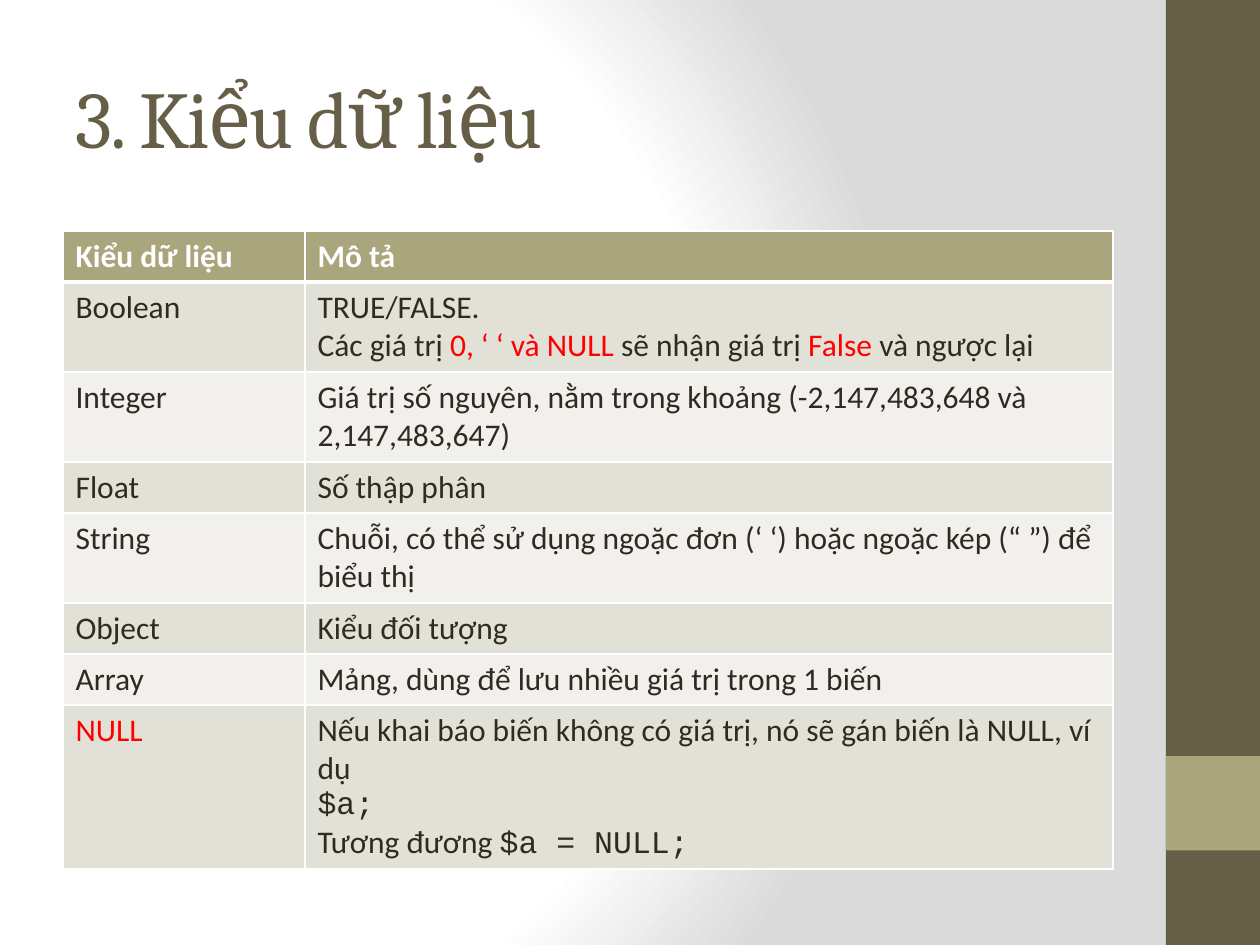
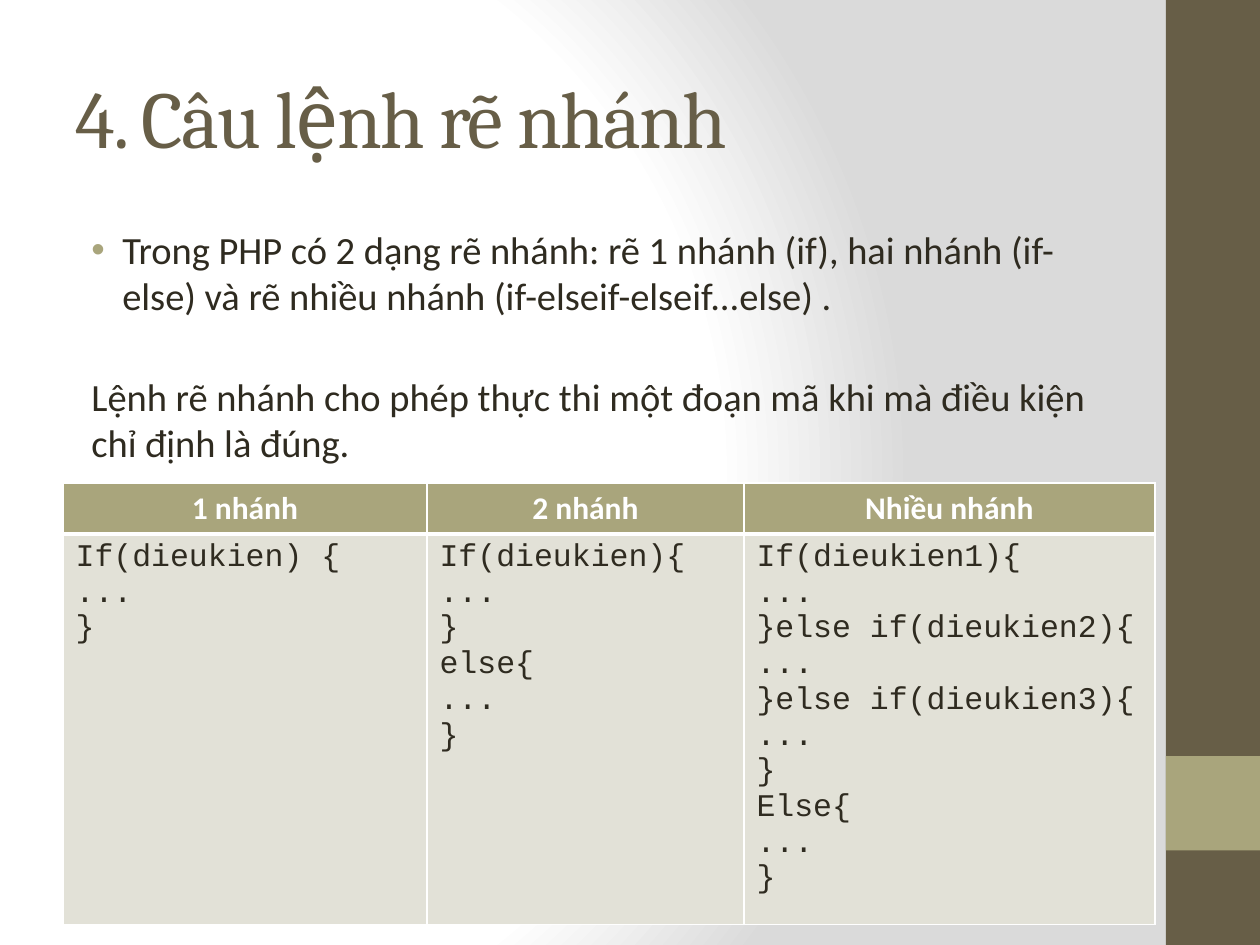
import pptx
import pptx.util
import pptx.dml.color
import pptx.enum.shapes
import pptx.enum.text
import pptx.oxml
import pptx.oxml.ns
import lxml.etree as etree

PIXEL = 914400 // 126
WIDTH, HEIGHT = 1260, 945
LEFT = 63
SIDEBAR_X = 1166
ROW_HEIGHT, EXTRA_LINE = 51, 39

DARK, ACCENT, TEXT = "675E47", "A9A57C", "2F2B20"
BAND_ODD, BAND_EVEN = "E2E1D7", "F1F0EC"
WHITE, GREY, RED = "FFFFFF", "DADADA", "FF0000"
HEADING_FONT, BODY_FONT, CODE_FONT = "Cambria", "Calibri", "Courier New"
DRAWING = 'xmlns:a="http://schemas.openxmlformats.org/drawingml/2006/main"'


def px(value):
    return pptx.util.Emu(round(value * PIXEL))


def color(hex_string):
    return pptx.dml.color.RGBColor.from_string(hex_string)


def tag(name):
    return pptx.oxml.ns.qn(name)


def format_run(run, size, ink=TEXT, font=BODY_FONT, bold=False):
    run.font.size = pptx.util.Pt(size)
    run.font.name = font
    run.font.bold = bold
    run.font.color.rgb = color(ink)


# Shared parts: background, sidebar, title
def paint_background(slide):
    slide.background.fill.solid()
    solid = next(slide.element.iter(tag("a:solidFill")))
    stops = "".join(
        f'<a:gs pos="{position * 1000}"><a:srgbClr val="{shade}"/></a:gs>'
        for position, shade in ((0, WHITE), (75, WHITE), (100, GREY)))
    gradient = pptx.oxml.parse_xml(
        f'<a:gradFill {DRAWING} rotWithShape="1"><a:gsLst>{stops}</a:gsLst>'
        '<a:path path="circle"><a:fillToRect l="20000" t="50000" '
        'r="100000" b="50000"/></a:path></a:gradFill>')
    solid.getparent().replace(solid, gradient)


def add_block(slide, left, top, width, height, fill):
    shape = slide.shapes.add_shape(
        pptx.enum.shapes.MSO_SHAPE.RECTANGLE,
        px(left), px(top), px(width), px(height))
    shape.shadow.inherit = False
    shape.fill.solid()
    shape.fill.fore_color.rgb = color(fill)
    shape.line.fill.background()


def add_sidebar(slide, left, top, height):
    width = WIDTH - left
    add_block(slide, left, top, width, height, DARK)
    add_block(slide, left, top + 0.8 * height, width, 0.1 * height, ACCENT)


def add_text_frame(slide, left, top, width, height):
    box = slide.shapes.add_textbox(px(left), px(top), px(width), px(height))
    box.text_frame.word_wrap = True
    return box.text_frame


def add_title(slide, text):
    frame = add_text_frame(slide, LEFT, 38, 1050, 157)
    frame.vertical_anchor = pptx.enum.text.MSO_ANCHOR.MIDDLE
    frame.text = text
    run = frame.paragraphs[0].runs[0]
    format_run(run, 46, DARK, HEADING_FONT)
    run.font._element.set("spc", "-100")


def new_slide(presentation, title):
    slide = presentation.slides.add_slide(presentation.slide_layouts[6])
    paint_background(slide)
    add_sidebar(slide, SIDEBAR_X, 0, HEIGHT)
    add_title(slide, title)
    return slide


# Body text: a bulleted paragraph followed by a plain one
def add_body(slide, left, top, width, height, bullet_text, plain_text):
    frame = add_text_frame(slide, left, top, width, height)
    frame.text = f"{bullet_text}\n{plain_text}"
    layouts = ((47, -31, 4.4), (16, 0, 31))
    for paragraph, (margin, indent, gap) in zip(frame.paragraphs, layouts):
        paragraph.space_before = pptx.util.Pt(gap)
        format_run(paragraph.runs[0], 22)
        properties = paragraph._p.get_or_add_pPr()
        properties.set("marL", str(px(margin)))
        properties.set("indent", str(px(indent)))
    properties = frame.paragraphs[0]._p.pPr
    bullet_color = etree.SubElement(properties, tag("a:buClr"))
    etree.SubElement(bullet_color, tag("a:srgbClr")).set("val", ACCENT)
    etree.SubElement(properties, tag("a:buFont")).set("typeface", "Arial")
    etree.SubElement(properties, tag("a:buChar")).set("char", "•")


# Tables: a cell is a list of paragraphs, a paragraph a list of (text, style)
STYLES = {
    "plain": {},
    "red": {"ink": RED},
    "code": {"font": CODE_FONT},
    "header": {"ink": WHITE, "bold": True},
}


def plain(text, style="plain"):
    return [[(text, style)]]


def code(*lines):
    return [[(line, "code")] for line in lines]


def set_borders(cell, top_width, bottom_width):
    properties = cell._tc.get_or_add_tcPr()
    widths = {"lnL": 1, "lnR": 1, "lnT": top_width, "lnB": bottom_width}
    for side, width in widths.items():
        properties.append(pptx.oxml.parse_xml(
            f'<a:{side} {DRAWING} w="{width * 12700}"><a:solidFill>'
            f'<a:srgbClr val="{WHITE}"/></a:solidFill></a:{side}>'))


def fill_cell(cell, paragraphs, background, alignment):
    cell.fill.solid()
    cell.fill.fore_color.rgb = color(background)
    frame = cell.text_frame
    for index, parts in enumerate(paragraphs):
        paragraph = frame.add_paragraph() if index else frame.paragraphs[0]
        paragraph.alignment = alignment
        for text, style in parts:
            run = paragraph.add_run()
            run.text = text
            format_run(run, 18, **STYLES[style])


def add_data_table(slide, left, top, widths, heights, headers, rows,
                   header_alignment):
    table = slide.shapes.add_table(
        len(heights), len(widths), px(left), px(top),
        px(sum(widths)), px(sum(heights))).table
    for column, width in zip(table.columns, widths):
        column.width = px(width)
    for row, height in zip(table.rows, heights):
        row.height = px(height)
    contents = [[plain(text, "header") for text in headers]] + rows
    for row_index, cells in enumerate(contents):
        if row_index == 0:
            background, alignment = ACCENT, header_alignment
        else:
            background = BAND_ODD if row_index % 2 else BAND_EVEN
            alignment = pptx.enum.text.PP_ALIGN.LEFT
        for column_index, paragraphs in enumerate(cells):
            cell = table.cell(row_index, column_index)
            set_borders(cell, 3 if row_index == 1 else 1,
                        3 if row_index == 0 else 1)
            fill_cell(cell, paragraphs, background, alignment)


# Slide: data types
def build_data_types(presentation):
    slide = new_slide(presentation, "3. Kiểu dữ liệu")
    boolean = [
        [("TRUE/FALSE.", "plain")],
        [("Các giá trị ", "plain"), ("0, ‘ ‘ và NULL", "red"),
         (" sẽ nhận giá trị ", "plain"), ("False", "red"),
         (" và ngược lại", "plain")],
    ]
    null = [
        [("Nếu khai báo biến không có giá trị, nó sẽ gán biến là NULL, "
          "ví dụ", "plain")],
        [("$a;", "code")],
        [("Tương đương ", "plain"), ("$a = NULL;", "code")],
    ]
    rows = [
        [plain("Boolean"), boolean],
        [plain("Integer"), plain("Giá trị số nguyên, nằm trong khoảng "
                                 "(-2,147,483,648 và 2,147,483,647)")],
        [plain("Float"), plain("Số thập phân")],
        [plain("String"), plain("Chuỗi, có thể sử dụng ngoặc đơn (‘ ‘) hoặc "
                                "ngoặc kép (“ ”) để biểu thị")],
        [plain("Object"), plain("Kiểu đối tượng")],
        [plain("Array"), plain("Mảng, dùng để lưu nhiều giá trị trong 1 biến")],
        [plain("NULL", "red"), null],
    ]
    line_counts = (1, 2, 2, 1, 2, 1, 1, 4)
    heights = [ROW_HEIGHT + EXTRA_LINE * (count - 1) for count in line_counts]
    heights[-1] = 164
    add_data_table(slide, LEFT, 231, (242, 808), heights,
                   ("Kiểu dữ liệu", "Mô tả"), rows,
                   pptx.enum.text.PP_ALIGN.LEFT)


# Slide: branching statements
def build_branching(presentation):
    slide = new_slide(presentation, "4. Câu lệnh rẽ nhánh")
    add_body(
        slide, LEFT, 220, 1050, 662,
        "Trong PHP có 2 dạng rẽ nhánh: rẽ 1 nhánh (if), hai nhánh (if-else) "
        "và rẽ nhiều nhánh (if-elseif-elseif...else) .",
        "Lệnh rẽ nhánh cho phép thực thi một đoạn mã khi mà điều kiện "
        "chỉ định là đúng.")
    rows = [[
        code("If(dieukien) {", "...", "}"),
        code("If(dieukien){", "...", "}", "else{", "...", "}"),
        code("If(dieukien1){", "...", "}else if(dieukien2){", "...",
             "}else if(dieukien3){", "...", "}", "Else{", "...", "}"),
    ]]
    add_data_table(slide, LEFT, 483, (364, 317, 411), (ROW_HEIGHT, 370),
                   ("1 nhánh", "2 nhánh", "Nhiều nhánh"), rows,
                   pptx.enum.text.PP_ALIGN.CENTER)


presentation = pptx.Presentation()
presentation.slide_width = px(WIDTH)
presentation.slide_height = px(HEIGHT)
build_data_types(presentation)
build_branching(presentation)
presentation.save("out.pptx")
